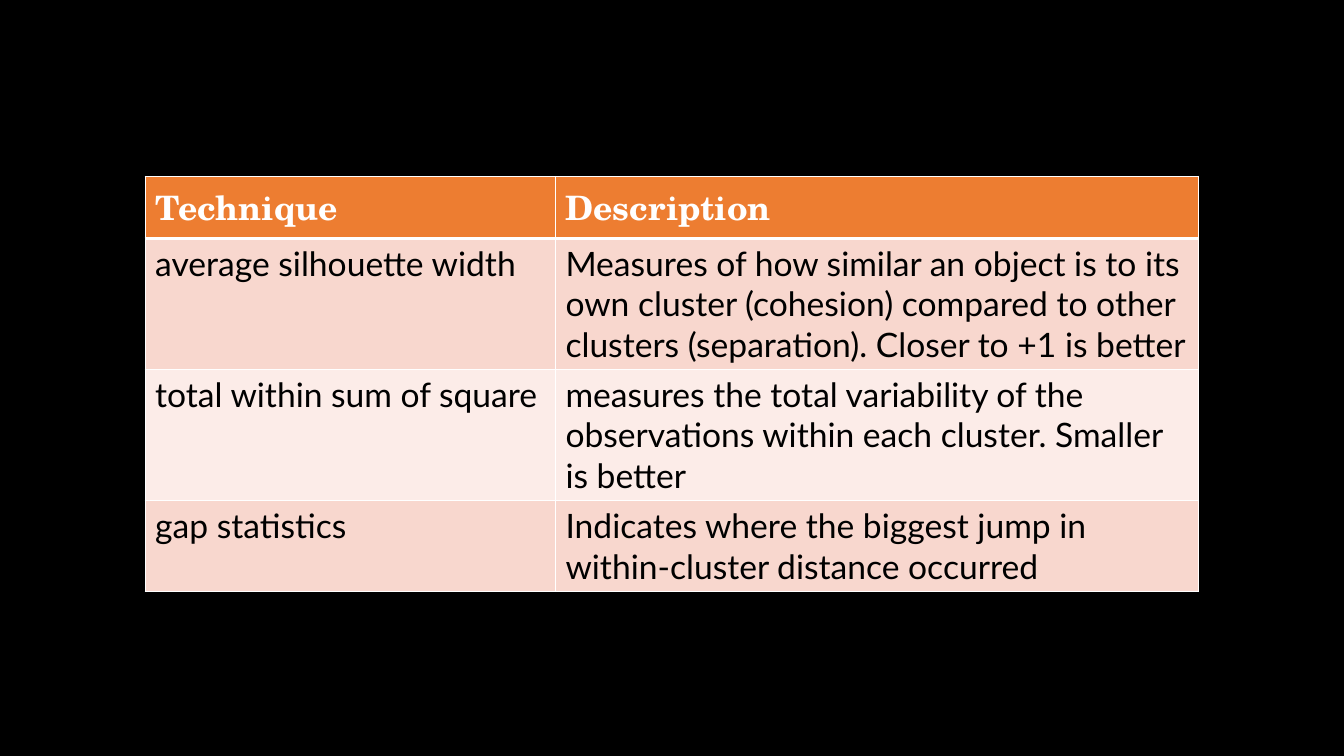
from dataclasses import dataclass

from lxml import etree
from pptx import Presentation
from pptx.dml.color import RGBColor
from pptx.oxml.ns import qn
from pptx.table import _Cell
from pptx.util import Emu, Inches, Pt

BLANK_LAYOUT = 6
SLIDE_WIDTH, SLIDE_HEIGHT = Inches(13.33), Inches(7.5)

# Table geometry as shares of the slide's width and height
TABLE_LEFT, TABLE_TOP = 0.108, 0.2333
COLUMN_SHARES = (0.3053, 0.4786)
HEADER_HEIGHT, PADDING_HEIGHT, LINE_HEIGHT = 0.0813, 0.0133, 0.0533


@dataclass(frozen=True)
class Theme:
    background: str = "000000"
    header_fill: str = "ED7D31"
    band_fills: tuple[str, str] = ("F8D7CE", "FCECE8")
    header_text: str = "FFFFFF"
    body_text: str = "000000"
    border: str = "FFFFFF"
    header_font: str = "TeX Gyre Schola"
    body_font: str = "Lato"
    text_size: float = 24
    thin_border: float = 1
    thick_border: float = 3


@dataclass(frozen=True)
class TechniqueRow:
    technique: str
    description: str
    lines: int


THEME = Theme()
HEADER = TechniqueRow("Technique", "Description", 1)
TECHNIQUES = (
    TechniqueRow(
        "average silhouette width",
        "Measures of how similar an object is to its own cluster (cohesion) "
        "compared to other clusters (separation). Closer to +1 is better",
        3,
    ),
    TechniqueRow(
        "total within sum of square",
        "measures the total variability of the observations within each cluster. "
        "Smaller is better",
        3,
    ),
    TechniqueRow(
        "gap statistics",
        "Indicates where the biggest jump in within-cluster distance occurred",
        2,
    ),
)


def across(share: float) -> Emu:
    return Emu(round(SLIDE_WIDTH * share))


def down(share: float) -> Emu:
    return Emu(round(SLIDE_HEIGHT * share))


def add_borders(cell: _Cell, top: float, bottom: float) -> None:
    properties = cell._tc.get_or_add_tcPr()
    thin = THEME.thin_border
    for side, width in (("L", thin), ("R", thin), ("T", top), ("B", bottom)):
        line = etree.SubElement(properties, qn(f"a:ln{side}"), w=str(Pt(width)))
        fill = etree.SubElement(line, qn("a:solidFill"))
        etree.SubElement(fill, qn("a:srgbClr"), val=THEME.border)


def fill_cell(cell: _Cell, text: str, row_index: int) -> None:
    is_header = row_index == 0
    # The thick rule lies between the header and the first technique
    add_borders(
        cell,
        top=THEME.thick_border if row_index == 1 else THEME.thin_border,
        bottom=THEME.thick_border if is_header else THEME.thin_border,
    )
    fill = THEME.header_fill if is_header else THEME.band_fills[(row_index - 1) % 2]
    cell.fill.solid()
    cell.fill.fore_color.rgb = RGBColor.from_string(fill)

    run = cell.text_frame.paragraphs[0].add_run()
    run.text = text
    font = run.font
    font.name = THEME.header_font if is_header else THEME.body_font
    font.size = Pt(THEME.text_size)
    font.bold = is_header
    font.color.rgb = RGBColor.from_string(
        THEME.header_text if is_header else THEME.body_text
    )


def main() -> None:
    presentation = Presentation()
    presentation.slide_width, presentation.slide_height = SLIDE_WIDTH, SLIDE_HEIGHT
    slide = presentation.slides.add_slide(presentation.slide_layouts[BLANK_LAYOUT])
    slide.background.fill.solid()
    slide.background.fill.fore_color.rgb = RGBColor.from_string(THEME.background)

    # Table of techniques
    rows = (HEADER, *TECHNIQUES)
    heights = [HEADER_HEIGHT] + [
        PADDING_HEIGHT + row.lines * LINE_HEIGHT for row in TECHNIQUES
    ]
    table = slide.shapes.add_table(
        len(rows), len(COLUMN_SHARES),
        across(TABLE_LEFT), down(TABLE_TOP),
        across(sum(COLUMN_SHARES)), down(sum(heights)),
    ).table
    for column, share in zip(table.columns, COLUMN_SHARES):
        column.width = across(share)
    for row_index, (row, height) in enumerate(zip(rows, heights)):
        table.rows[row_index].height = down(height)
        for column_index, text in enumerate((row.technique, row.description)):
            fill_cell(table.cell(row_index, column_index), text, row_index)

    presentation.save("out.pptx")


if __name__ == "__main__":
    main()
